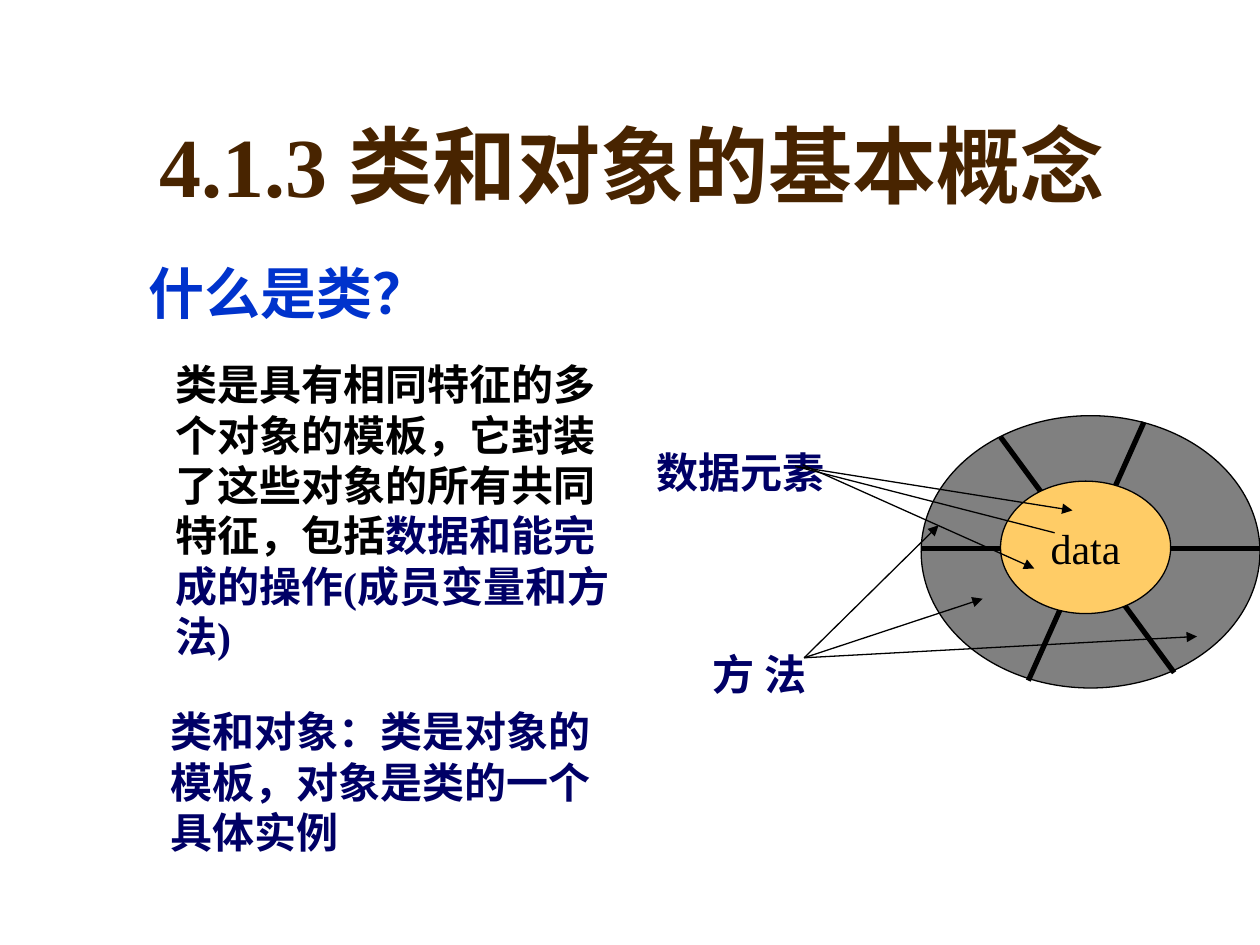
"""Build the slide on the basic concepts of classes and objects."""
from lxml.etree import SubElement
from pptx import Presentation
from pptx.dml.color import RGBColor
from pptx.enum.shapes import MSO_CONNECTOR, MSO_SHAPE
from pptx.enum.text import MSO_ANCHOR, MSO_AUTO_SIZE, PP_ALIGN
from pptx.oxml.ns import qn
from pptx.util import Cm, Pt

THEME = {
    "latin": "Times New Roman", "cjk": "Noto Sans CJK SC",
    "title": "482400", "heading": "0033CC", "accent": "000066", "ink": "000000",
    "ring": "808080", "core": "FFCC66",
    "title_size": 48, "heading_size": 32, "body_size": 24,
    "thin": 0.75, "thick": 3, "leading": 1.2,
}

TITLE = ("4.1.3 类和对象的基本概念", (2.97, 1.27, 21.59, 3.18))
HEADING = ("什么是类？", (2.74, 5.08, 22.66, 1.63))
BODY = [
    ([("类是具有相同特征的多个对象的模板，它封装了这些对象的所有共同特征，包括", "ink"),
      ("数据和能完成的操作(成员变量和方法)", "accent")], (3.28, 7.1, 9.3, 6.35)),
    ([("类和对象：类是对象的模板，对象是类的一个具体实例", "accent")],
     (3.18, 14.1, 9.27, 3.3)),
]
LABELS = [
    ("数据元素", (12.98, 8.87, 3.89, 1.27)),
    ("方 法", (14.12, 12.94, 2.52, 1.27)),
]

RING = (18.57, 8.38, 6.83, 5.49)
CORE = (20.17, 9.7, 3.43, 2.67)
SPOKES = [
    ((20.17, 8.81), (23.67, 13.56)),
    ((23.06, 8.51), (20.73, 13.72)),
    ((18.57, 11.05), (25.4, 11.05)),
]
METHOD_START = (16.21, 13.26)
POINTERS = [
    ((16.03, 9.4), (21.62, 10.29), True),
    ((16.03, 9.4), (21.26, 10.74), False),
    ((16.18, 9.37), (20.85, 11.46), True),
    (METHOD_START, (18.92, 10.59), True),
    (METHOD_START, (24.13, 12.83), True),
    (METHOD_START, (19.81, 12.07), True),
]


def color(name):
    return RGBColor.from_string(THEME[name])


def write(tf, runs, *, size="body_size", latin="latin", bold=True,
          align=PP_ALIGN.LEFT, anchor=MSO_ANCHOR.TOP, wrap=True):
    tf.auto_size = MSO_AUTO_SIZE.NONE
    tf.word_wrap = wrap
    tf.vertical_anchor = anchor
    tf.margin_left = tf.margin_right = Cm(0.25)
    tf.margin_top = tf.margin_bottom = Cm(0.13)
    p = tf.paragraphs[0]
    p.alignment = align
    p.space_before = Pt(0)
    p.line_spacing = Pt(round(THEME[size] * THEME["leading"], 1))
    for text, ink in runs:
        r = p.add_run()
        r.text = text
        r.font.name = THEME[latin]
        r.font.size = Pt(THEME[size])
        r.font.bold = bold
        r.font.color.rgb = color(ink)
        SubElement(r.font._element, qn("a:ea"), typeface=THEME["cjk"])


def add_text(s, runs, box, **fmt):
    sp = s.shapes.add_textbox(*map(Cm, box))
    write(sp.text_frame, runs, **fmt)


def add_oval(s, box, fill):
    sp = s.shapes.add_shape(MSO_SHAPE.OVAL, *map(Cm, box))
    sp.shadow.inherit = False
    sp.fill.solid()
    sp.fill.fore_color.rgb = color(fill)
    sp.line.color.rgb = color("ink")
    sp.line.width = Pt(THEME["thin"])
    return sp


def add_line(s, start, end, width="thin", arrow=False):
    cx = s.shapes.add_connector(MSO_CONNECTOR.STRAIGHT, *map(Cm, start + end))
    cx.line.color.rgb = color("ink")
    cx.line.width = Pt(THEME[width])
    if arrow:
        SubElement(cx.line._get_or_add_ln(), qn("a:tailEnd"), type="triangle")
    SubElement(cx._element.spPr, qn("a:effectLst"))


def main():
    prs = Presentation()
    prs.slide_width, prs.slide_height = Cm(25.4), Cm(19.05)
    s = prs.slides.add_slide(prs.slide_layouts[5])

    text, box = TITLE
    title = s.shapes.title
    title.left, title.top, title.width, title.height = map(Cm, box)
    write(title.text_frame, [(text, "title")], size="title_size",
          anchor=MSO_ANCHOR.BOTTOM)

    text, box = HEADING
    add_text(s, [(text, "heading")], box, size="heading_size", latin="cjk")

    add_oval(s, RING, "ring")
    for start, end in SPOKES:
        add_line(s, start, end, "thick")
    core = add_oval(s, CORE, "core")
    write(core.text_frame, [("data", "ink")], bold=False,
          align=PP_ALIGN.CENTER, anchor=MSO_ANCHOR.MIDDLE, wrap=False)

    for text, box in LABELS:
        add_text(s, [(text, "accent")], box, wrap=False)
    for start, end, arrow in POINTERS:
        add_line(s, start, end, arrow=arrow)
    for runs, box in BODY:
        add_text(s, runs, box)

    prs.save("out.pptx")


if __name__ == "__main__":
    main()
